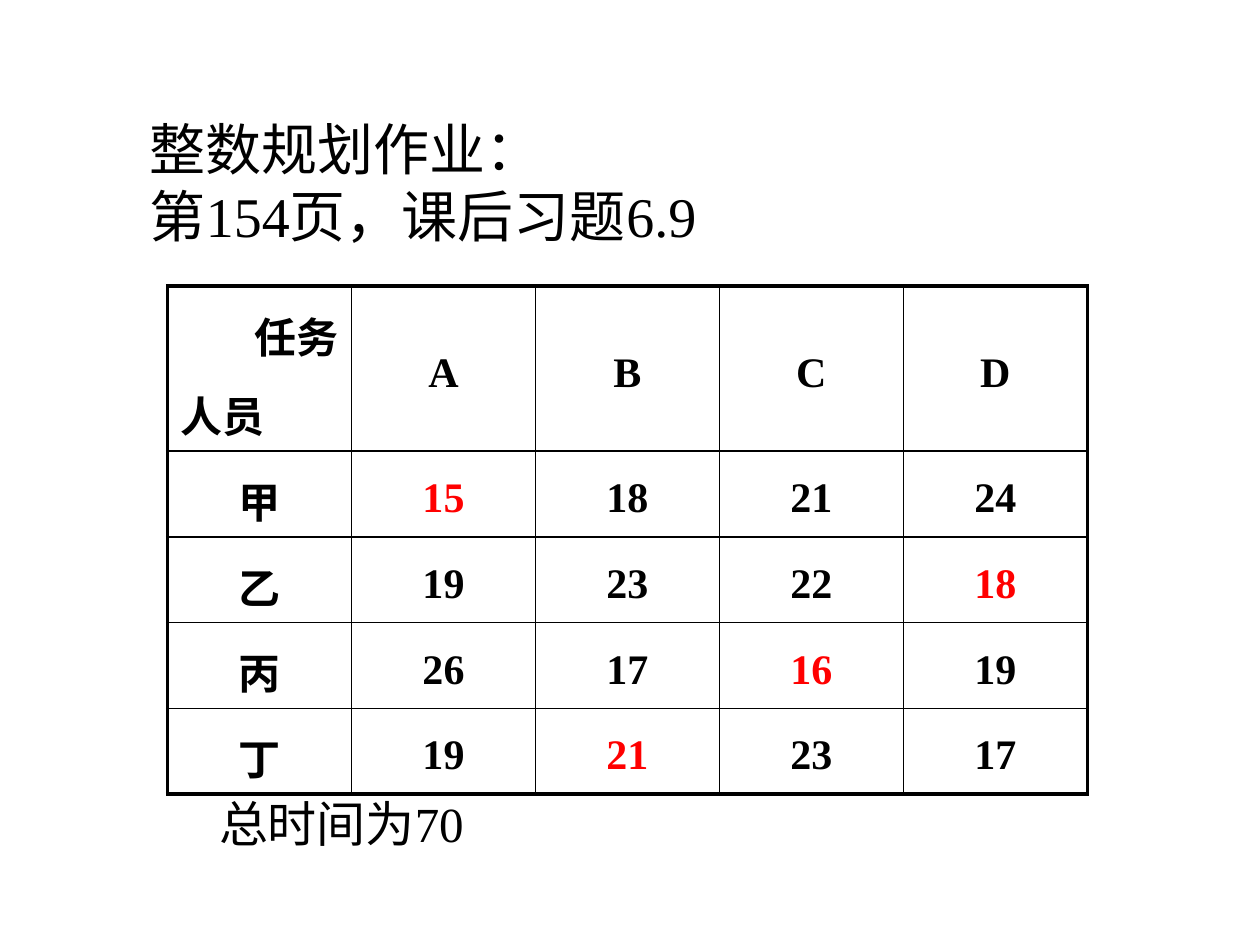
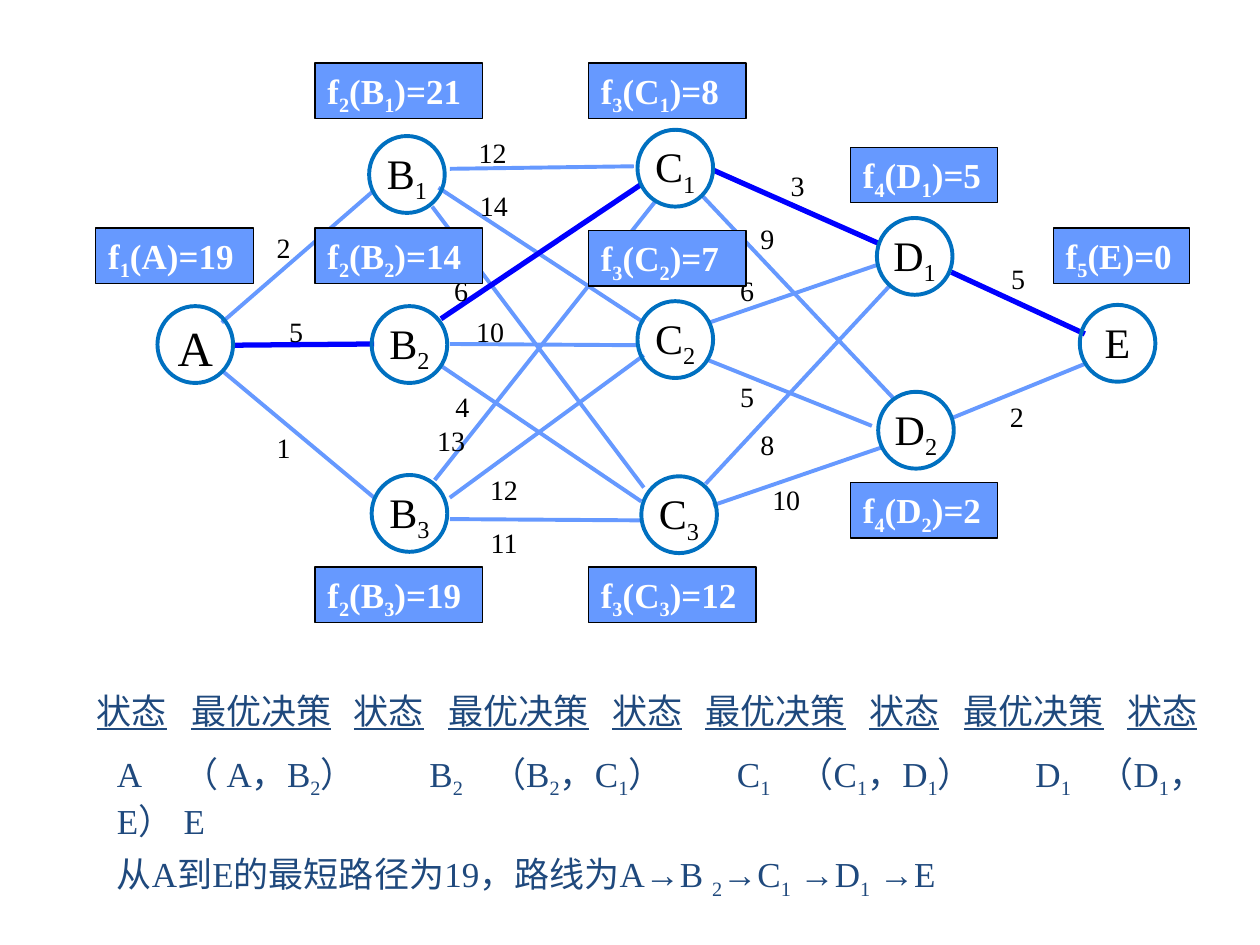
"""Builds two slides: an assignment-problem table and a shortest-path network."""
import pptx
import pptx.util
import pptx.dml.color
import pptx.enum.shapes
import pptx.enum.text
import pptx.oxml
import pptx.oxml.ns
from lxml import etree

PX = 9144
FONT = "Times New Roman"
RGBColor = pptx.dml.color.RGBColor
BLACK = RGBColor(0x00, 0x00, 0x00)
WHITE = RGBColor(0xFF, 0xFF, 0xFF)
RED = RGBColor(0xFF, 0x00, 0x00)
NAVY = RGBColor(0x1F, 0x49, 0x7D)
SKY = RGBColor(0x66, 0x99, 0xFF)
ROUTE_BLUE = RGBColor(0x00, 0x00, 0xFF)
NODE_BLUE = RGBColor(0x00, 0x70, 0xC0)
PP_ALIGN = pptx.enum.text.PP_ALIGN
MSO_ANCHOR = pptx.enum.text.MSO_ANCHOR
MSO_SHAPE = pptx.enum.shapes.MSO_SHAPE
Pt = pptx.util.Pt
qn = pptx.oxml.ns.qn


def write(tf, text, size, color, align=PP_ALIGN.LEFT, bold=None, gap=0):
    """Fill a text frame; an underscore lowers the character after it."""
    tf.word_wrap = True
    for i, line in enumerate(text.split("\n")):
        p = tf.paragraphs[0] if i == 0 else tf.add_paragraph()
        p.alignment = align
        if i and gap:
            p.space_before = Pt(gap)
        p.font.name = FONT
        p.font.size = Pt(size)
        p.font.bold = bold
        p.font.color.rgb = color
        for j, part in enumerate(line.split("_")):
            if j:
                r = p.add_run()
                r.text = part[0]
                r.font._element.set("baseline", "-25000")
                part = part[1:]
            if part:
                p.add_run().text = part


def add_text(s, box, text, size, color, align=PP_ALIGN.LEFT, inset=True, gap=0):
    """Add a text box given in px and return its text frame."""
    tf = s.shapes.add_textbox(*(v * PX for v in box)).text_frame
    if not inset:
        tf.margin_left = tf.margin_top = tf.margin_right = tf.margin_bottom = 0
    write(tf, text, size, color, align, gap=gap)
    return tf


prs = pptx.Presentation()
prs.slide_width = 1000 * PX
prs.slide_height = 750 * PX
blank = prs.slide_layouts[6]

s = prs.slides.add_slide(blank)
rows = [
    ["任务\n人员", "A", "B", "C", "D"],
    ["甲", "15", "18", "21", "24"],
    ["乙", "19", "23", "22", "18"],
    ["丙", "26", "17", "16", "19"],
    ["丁", "19", "21", "23", "17"],
]
assigned = {(1, 1), (2, 4), (3, 3), (4, 2)}
last = len(rows) - 1
table = s.shapes.add_table(5, 5, 133 * PX, 227 * PX, 730 * PX, 323 * PX).table
table.first_row = table.horz_banding = False
for i, row in enumerate(rows):
    table.columns[i].width = 146 * PX
    table.rows[i].height = (54 if i else 107) * PX
    for j, text in enumerate(row):
        cell = table.cell(i, j)
        color = RED if (i, j) in assigned else BLACK
        write(cell.text_frame, text, 24, color, PP_ALIGN.CENTER, True, 3.6)
        for p in cell.text_frame.paragraphs:
            p.line_spacing = 1.2
        cell.vertical_anchor = MSO_ANCHOR.MIDDLE
        tcPr = cell._tc.get_or_add_tcPr()
        edges = {"lnL": j == 0, "lnR": j == last, "lnT": i == 0, "lnB": i == last}
        for tag, outer in edges.items():
            ln = etree.SubElement(tcPr, qn("a:" + tag), w=str(Pt(2.25 if outer else 1)))
            fill = etree.SubElement(ln, qn("a:solidFill"))
            etree.SubElement(fill, qn("a:srgbClr"), val=str(BLACK))
        cell.fill.background()
task, person = table.cell(0, 0).text_frame.paragraphs
task.alignment = PP_ALIGN.RIGHT
person.alignment = PP_ALIGN.LEFT

add_text(s, (109, 86, 742, 118), "整数规划作业：\n第154页，课后习题6.9", 32, BLACK)
add_text(s, (164, 625, 469, 57), "总时间为70", 28, BLACK)

s = prs.slides.add_slide(blank)
side_links = [
    (176, 256, 297, 151), (357, 273, 506, 274), (176, 294, 297, 395),
    (357, 134, 503, 132), (357, 412, 509, 413), (566, 401, 700, 355),
    (755, 332, 863, 288), (563, 256, 697, 210), (560, 285, 692, 338),
    (348, 149, 511, 256), (343, 164, 511, 387), (351, 291, 509, 398),
    (345, 381, 520, 160), (357, 395, 511, 282), (557, 155, 709, 316),
    (560, 384, 706, 227),
]
route_links = [
    (185, 274, 297, 273), (350, 253, 508, 147),
    (566, 135, 697, 193), (755, 216, 861, 265),
]
for links, color, width in ((side_links, SKY, 2.25), (route_links, ROUTE_BLUE, 3)):
    for link in links:
        line = s.shapes.add_connector(
            pptx.enum.shapes.MSO_CONNECTOR.STRAIGHT, *(v * PX for v in link))
        line.line.color.rgb = color
        line.line.width = Pt(width)
        etree.SubElement(line._element.spPr, qn("a:effectLst"))

distances = [
    (209, 183, "2"), (219, 250, "5"), (209, 342, "1"), (375, 108, "12"),
    (376, 150, "14"), (350, 217, "6"), (373, 250, "10"), (351, 309, "4"),
    (342, 336, "13"), (384, 417, "11"), (384, 375, "12"), (617, 134, "3"),
    (593, 176, "9"), (577, 217, "6"), (577, 301, "5"), (593, 339, "8"),
    (608, 383, "10"), (792, 208, "5"), (791, 317, "2"),
]
for x, y, text in distances:
    add_text(s, (x, y, 32, 33), text, 16, BLACK, PP_ALIGN.CENTER, False)

nodes = [
    (125, 243, "A"), (293, 108, "B_1"), (295, 243, "B_2"), (295, 377, "B_3"),
    (506, 103, "C_1"), (506, 239, "C_2"), (509, 378, "C_3"),
    (696, 173, "D_1"), (697, 311, "D_2"), (857, 242, "E"),
]
for x, y, text in nodes:
    sp = s.shapes.add_shape(MSO_SHAPE.OVAL, x * PX, y * PX, 60 * PX, 61 * PX)
    sp.shadow.inherit = False
    sp.fill.background()
    sp.line.color.rgb = NODE_BLUE
    sp.line.width = Pt(2.25)
    tf = sp.text_frame
    tf.margin_left = tf.margin_top = tf.margin_right = tf.margin_bottom = 0
    tf.vertical_anchor = MSO_ANCHOR.TOP
    write(tf, text, 28 if text == "A" else 24, BLACK, PP_ALIGN.CENTER)

values = [
    (76, 181, 125, "f_1(A)=19"), (250, 50, 133, "f_2(B_1)=21"),
    (250, 181, 133, "f_2(B_2)=14"), (250, 450, 133, "f_2(B_3)=19"),
    (467, 50, 125, "f_3(C_1)=8"), (467, 183, 125, "f_3(C_2)=7"),
    (467, 450, 133, "f_3(C_3)=12"), (675, 117, 117, "f_4(D_1)=5"),
    (675, 383, 117, "f_4(D_2)=2"), (836, 181, 108, "f_5(E)=0"),
]
for x, y, width, text in values:
    sp = s.shapes.add_shape(MSO_SHAPE.RECTANGLE, x * PX, y * PX, width * PX, 44 * PX)
    sp.shadow.inherit = False
    sp.fill.solid()
    sp.fill.fore_color.rgb = SKY
    sp.line.color.rgb = BLACK
    sp.line.width = Pt(0.75)
    sp.text_frame.vertical_anchor = MSO_ANCHOR.TOP
    write(sp.text_frame, text, 20, WHITE, bold=True)

headings = "\t".join(["状态", "最优决策"] * 4 + ["状态"])
header = add_text(s, (67, 542, 933, 43), headings, 20, NAVY).paragraphs[0]
header.font.underline = True
steps = "A\t（ A，B_2）\tB_2\t（B_2，C_1）\tC_1\t（C_1，D_1）\tD_1\t（D_1，E）\tE"
answer = "从A到E的最短路径为19，路线为A→B _2→C_1 →D_1 →E"
decisions = add_text(
    s, (83, 592, 917, 93), steps + "\n" + answer, 20, NAVY, gap=6).paragraphs[0]
header_stops = [75, 204, 279, 409, 483, 613, 688, 818]
decision_stops = [53, 89, 248, 297, 492, 541, 729, 779]
for p, stops in ((header, header_stops), (decisions, decision_stops)):
    tabs = pptx.oxml.parse_xml("<a:tabLst %s/>" % pptx.oxml.ns.nsdecls("a"))
    for stop in stops:
        etree.SubElement(tabs, qn("a:tab"), pos=str(stop * PX), algn="l")
    p._p.get_or_add_pPr().find(qn("a:defRPr")).addprevious(tabs)

prs.save("out.pptx")
